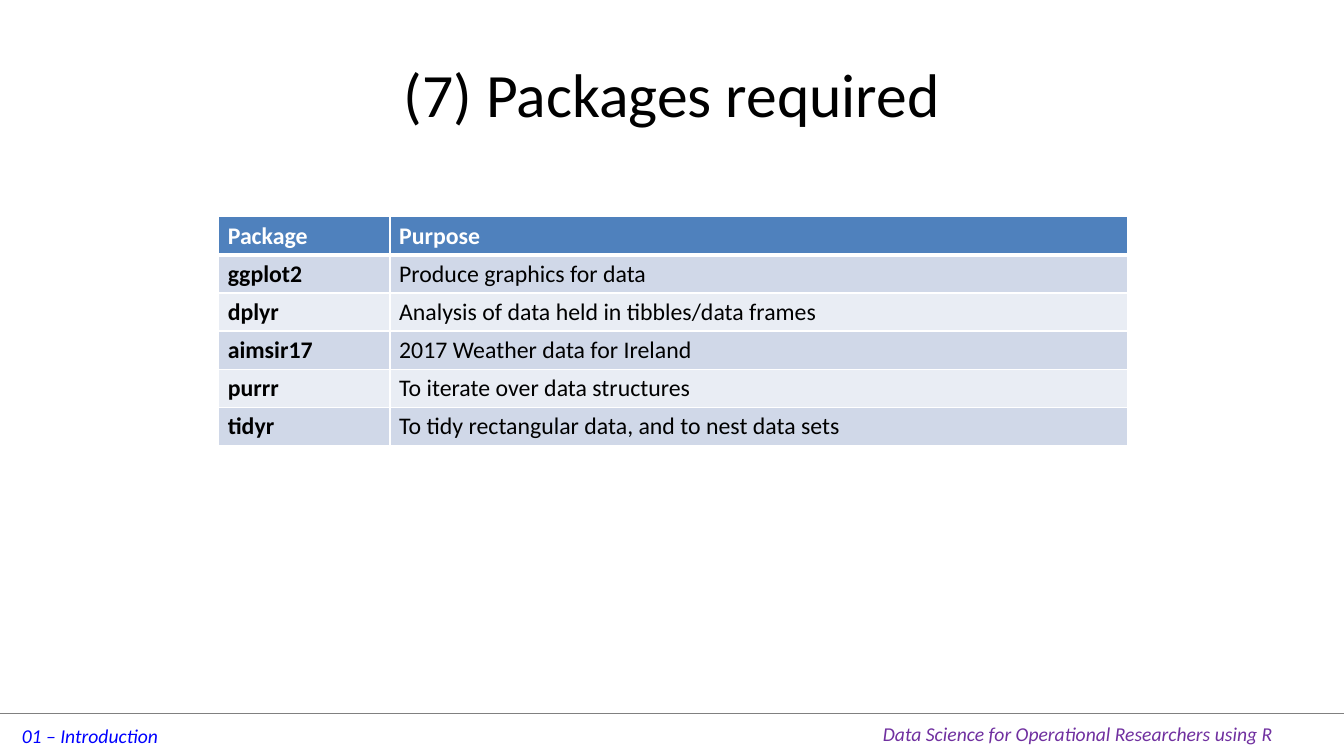
import pptx
import pptx.dml.color
import pptx.enum.shapes
import pptx.enum.text
import pptx.oxml.ns
import pptx.util
from lxml import etree
from pptx.util import Cm

FONT = "Calibri"
WHITE, BLACK = "FFFFFF", "000000"
HEADER_FILL = "4F81BD"
BAND_FILLS = ("D0D8E8", "E9EDF4")
SLIDE_WIDTH, SLIDE_HEIGHT = Cm(33.87), Cm(19.05)
COLUMN_WIDTHS = (Cm(4.32), Cm(18.59))
ROW_HEIGHT = Cm(0.95)
PACKAGES = (
    ("Package", "Purpose"),
    ("ggplot2", "Produce graphics for data"),
    ("dplyr", "Analysis of data held in tibbles/data frames"),
    ("aimsir17", "2017 Weather data for Ireland"),
    ("purrr", "To iterate over data structures"),
    ("tidyr", "To tidy rectangular data, and to nest data sets"),
)


def color(hex_string):
    return pptx.dml.color.RGBColor.from_string(hex_string)


def write(text_frame, text, size, text_color, bold=False, italic=False):
    text_frame.text = text
    for span in text_frame.paragraphs[0].runs:
        span.font.name = FONT
        span.font.size = pptx.util.Pt(size)
        span.font.color.rgb = color(text_color)
        span.font.bold = bold
        span.font.italic = italic


def add_title(page, text):
    box = page.shapes.add_textbox(Cm(1.7), Cm(0.76), Cm(30.48), Cm(3.18))
    frame = box.text_frame
    frame.word_wrap = True
    frame.vertical_anchor = pptx.enum.text.MSO_ANCHOR.MIDDLE
    write(frame, text, 44, BLACK)
    frame.paragraphs[0].alignment = pptx.enum.text.PP_ALIGN.CENTER


def add_footer(page, text, left, top, width, text_color):
    box = page.shapes.add_textbox(left, top, width, Cm(0.86))
    box.text_frame.word_wrap = False
    box.text_frame.auto_size = pptx.enum.text.MSO_AUTO_SIZE.SHAPE_TO_FIT_TEXT
    write(box.text_frame, text, 14, text_color, italic=True)


def add_footer_rule(page, top):
    rule = page.shapes.add_connector(
        pptx.enum.shapes.MSO_CONNECTOR.STRAIGHT, 0, top, SLIDE_WIDTH, top)
    rule.line.color.rgb = color("808080")
    rule.line.width = pptx.util.Pt(0.25)
    properties = rule._element.spPr
    etree.SubElement(properties, pptx.oxml.ns.qn("a:effectLst"))


def set_borders(cell, widths):
    """Draw white borders; widths maps L, R, T, B (in that order) to points."""
    properties = cell._tc.get_or_add_tcPr()
    for side, width in widths.items():
        border = etree.SubElement(properties, pptx.oxml.ns.qn(f"a:ln{side}"),
                                  w=str(pptx.util.Pt(width)))
        fill = etree.SubElement(border, pptx.oxml.ns.qn("a:solidFill"))
        etree.SubElement(fill, pptx.oxml.ns.qn("a:srgbClr"), val=WHITE)


def add_package_table(page, left, top):
    table = page.shapes.add_table(
        len(PACKAGES), len(COLUMN_WIDTHS), left, top,
        sum(COLUMN_WIDTHS), ROW_HEIGHT * len(PACKAGES)).table
    for column, width in zip(table.columns, COLUMN_WIDTHS):
        column.width = width
    for row_index, texts in enumerate(PACKAGES):
        is_header = row_index == 0
        row_fill = HEADER_FILL if is_header else BAND_FILLS[(row_index - 1) % 2]
        table.rows[row_index].height = ROW_HEIGHT
        for column_index, text in enumerate(texts):
            cell = table.cell(row_index, column_index)
            set_borders(cell, {"L": 1, "R": 1,
                               "T": 3 if row_index == 1 else 1,
                               "B": 3 if is_header else 1})
            cell.fill.solid()
            cell.fill.fore_color.rgb = color(row_fill)
            cell.margin_left = cell.margin_right = Cm(0.23)
            cell.margin_top = cell.margin_bottom = Cm(0.12)
            write(cell.text_frame, text, 17, WHITE if is_header else BLACK,
                  bold=is_header or column_index == 0)


def main():
    deck = pptx.Presentation()
    deck.slide_width, deck.slide_height = SLIDE_WIDTH, SLIDE_HEIGHT
    page = deck.slides.add_slide(deck.slide_layouts[6])
    add_footer_rule(page, Cm(17.96))
    add_footer(page, "01 – Introduction", Cm(0.3), Cm(18.11), Cm(3.99), "0000FF")
    add_footer(page, "Data Science for Operational Researchers using R",
               Cm(22), Cm(18.06), Cm(10.44), "7030A0")
    add_title(page, "(7) Packages required")
    add_package_table(page, Cm(5.51), Cm(5.46))
    deck.save("out.pptx")


if __name__ == "__main__":
    main()
